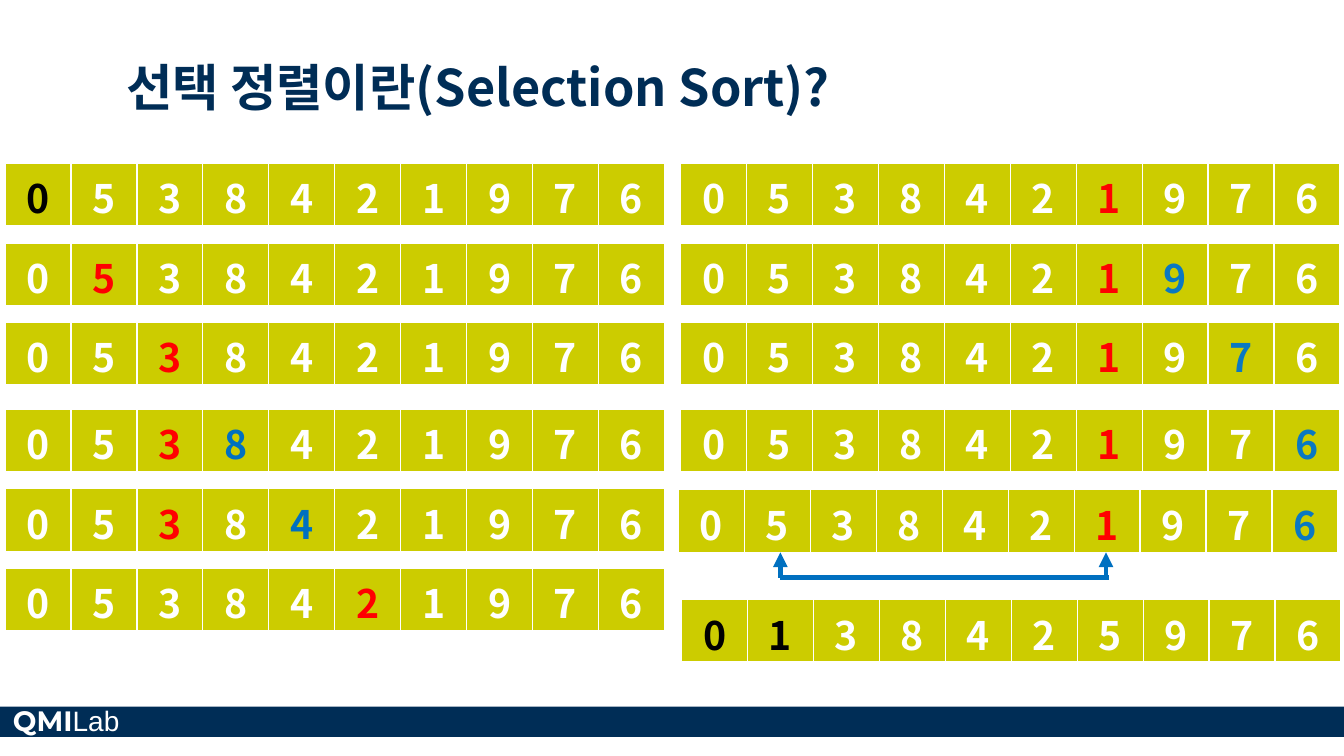
from lxml.etree import SubElement
from pptx import Presentation
from pptx.dml.color import RGBColor
from pptx.enum.shapes import MSO_CONNECTOR as CONNECTOR, MSO_SHAPE as SHAPE
from pptx.enum.text import MSO_ANCHOR as ANCHOR, MSO_AUTO_SIZE as AUTO_SIZE, PP_ALIGN as ALIGN
from pptx.oxml.ns import qn
from pptx.util import Emu, Pt

PX = 9144  # 100 px to the inch
FONT = "Noto Sans CJK KR"
NAVY, OLIVE, WHITE, BLACK = "002D56", "CCCC00", "FFFFFF", "000000"
RED, BLUE, SKY = "FF0000", "0070C0", "0A78C2"

LEFT, RIGHT = 5, 675
ROW_W, ROW_H = 654, 63
START = "0538421976"
SWAPPED = "0138425976"

# Each step maps a position in the array to the colour of its digit
LEFT_STEPS = [{0: BLACK}, {1: RED}, {2: RED}, {2: RED, 3: BLUE}, {2: RED, 4: BLUE}, {5: RED}]
RIGHT_STEPS = [{6: RED}, {6: RED, 7: SKY}, {6: RED, 8: SKY}, {6: RED, 9: SKY}]


def px(*lengths):
    return [Emu(n * PX) for n in lengths]


def rgb(color):
    return RGBColor.from_string(color)


def add_run(p, text, size, color, font=FONT, bold=True):
    r = p.add_run()
    r.text = text
    r.font.size = Pt(size)
    r.font.bold = bold
    r.font.name = font
    r.font.color.rgb = rgb(color)
    SubElement(r.font._element, qn("a:ea")).set("typeface", font)


def set_borders(cell):
    """White cell borders, thicker at the bottom; must precede the fill."""
    tc_pr = cell._tc.get_or_add_tcPr()
    for side, width in (("L", 1), ("R", 1), ("T", 1), ("B", 3)):
        ln = SubElement(tc_pr, qn(f"a:ln{side}"), w=str(Pt(width)))
        fill = SubElement(ln, qn("a:solidFill"))
        SubElement(fill, qn("a:srgbClr"), val=WHITE)


def add_array(s, left, top, digits, marks):
    table = s.shapes.add_table(1, len(digits), *px(left, top, ROW_W, ROW_H)).table
    for i, digit in enumerate(digits):
        cell = table.cell(0, i)
        set_borders(cell)
        cell.fill.solid()
        cell.fill.fore_color.rgb = rgb(OLIVE)
        p = cell.text_frame.paragraphs[0]
        p.alignment = ALIGN.CENTER
        add_run(p, digit, 28, marks.get(i, WHITE))


def add_line(group, x1, y1, x2, y2, arrow=False):
    line = group.shapes.add_connector(CONNECTOR.STRAIGHT, *px(x1, y1, x2, y2))
    line.line.color.rgb = rgb(BLUE)
    line.line.width = Pt(3.5)
    if arrow:
        SubElement(line.line._get_or_add_ln(), qn("a:tailEnd"), type="triangle")
    SubElement(line._element.spPr, qn("a:effectLst"))


def add_swap_arrow(s, x1, x2, top, bottom):
    group = s.shapes.add_group_shape()
    for x in (x1, x2):
        add_line(group, x, bottom, x, top, arrow=True)
    add_line(group, x2 + 3, bottom, x1, bottom)


def add_title(s, text):
    title = s.shapes.title
    title.left, title.top, title.width, title.height = px(115, 13, 1042, 108)
    tf = title.text_frame
    tf.vertical_anchor = ANCHOR.BOTTOM
    p = tf.paragraphs[0]
    p.alignment = ALIGN.LEFT
    add_run(p, text, 36, NAVY)


def add_footer(s):
    bar = s.shapes.add_shape(SHAPE.RECTANGLE, *px(0, 701, 1333, 30))
    bar.shadow.inherit = False
    bar.fill.solid()
    bar.fill.fore_color.rgb = rgb(NAVY)
    bar.line.fill.background()
    tf = s.shapes.add_textbox(*px(3, 693, 152, 44)).text_frame
    tf.word_wrap = True
    tf.auto_size = AUTO_SIZE.SHAPE_TO_FIT_TEXT
    p = tf.paragraphs[0]
    add_run(p, "QMI", 20, WHITE, "Montserrat")
    add_run(p, "Lab", 20, WHITE, "Arial", bold=False)


def step_top(i):
    """Arrays stand in blocks of three with a wider gap between blocks."""
    return 162 + 244 * (i // 3) + 79 * (i % 3)


def main():
    prs = Presentation()
    prs.slide_width, prs.slide_height = px(1333, 750)
    s = prs.slides.add_slide(prs.slide_layouts[5])
    add_footer(s)
    add_title(s, "선택 정렬이란(Selection Sort)?")
    for left, steps in ((LEFT, LEFT_STEPS), (RIGHT, RIGHT_STEPS)):
        for i, marks in enumerate(steps):
            add_array(s, left, step_top(i), START, marks)
    add_array(s, 673, 486, START, {6: RED, 9: SKY})
    add_swap_arrow(s, 774, 1097, 548, 573)
    add_array(s, 676, 595, SWAPPED, {0: BLACK, 1: BLACK})
    prs.save("out.pptx")


if __name__ == "__main__":
    main()
